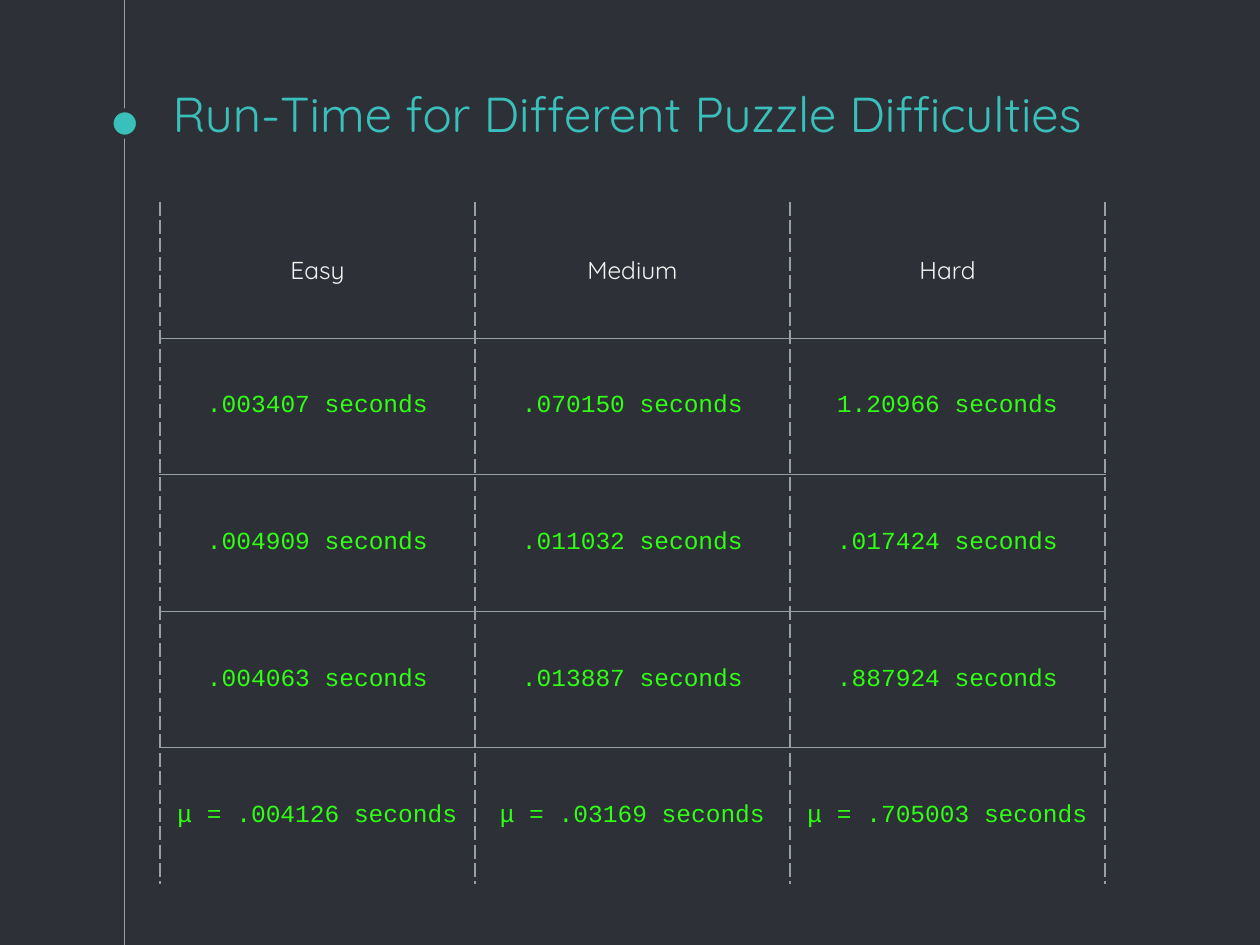
import pptx
import pptx.dml.color
import pptx.enum.dml
import pptx.enum.shapes
import pptx.enum.text
import pptx.oxml.ns
import pptx.util
from lxml import etree

TITLE = "Run-Time for Different Puzzle Difficulties"
ROWS = [
    ("Easy", "Medium", "Hard"),
    (".003407 seconds", ".070150 seconds", "1.20966 seconds"),
    (".004909 seconds", ".011032 seconds", ".017424 seconds"),
    (".004063 seconds", ".013887 seconds", ".887924 seconds"),
    ("μ = .004126 seconds", "μ = .03169 seconds", "μ = .705003 seconds"),
]
BACKGROUND, ACCENT, RULE = "2E3037", "39C0BA", "999FA9"
HEADER_COLOR, VALUE_COLOR = "F3F3F3", "2FFF12"
HEADING_FONT, VALUE_FONT = "Quicksand", "Courier New"

WIDTH, HEIGHT = 10, 7.5
CONTENT_LEFT, CONTENT_WIDTH = 1.27, 7.5
TITLE_TOP, TITLE_HEIGHT = 0.73, 0.5
TABLE_TOP, TABLE_HEIGHT = 1.6, 5.42
TIMELINE_X, DOT_Y, DOT_SIZE = 0.99, 0.98, 0.21

inches = pptx.util.Inches
qualified = pptx.oxml.ns.qn


def rgb(color):
    return pptx.dml.color.RGBColor.from_string(color)


def paint(fill, color):
    fill.solid()
    fill.fore_color.rgb = rgb(color)


def write(text_frame, text, size, font, color, alignment):
    for side in ("left", "top", "right", "bottom"):
        setattr(text_frame, f"margin_{side}", inches(0.1))
    paragraph = text_frame.paragraphs[0]
    paragraph.alignment = alignment
    run = paragraph.add_run()
    run.text = text
    run.font.size = pptx.util.Pt(size)
    run.font.name = font
    run.font.color.rgb = rgb(color)


def add_border(cell, side, dash):
    """Draw one cell side with the given dash, or leave it empty for None."""
    properties = cell._tc.get_or_add_tcPr()
    line = etree.SubElement(properties, qualified(f"a:ln{side}"), w=str(pptx.util.Pt(0.75)))
    if dash is None:
        etree.SubElement(line, qualified("a:noFill"))
        return
    fill = etree.SubElement(line, qualified("a:solidFill"))
    etree.SubElement(fill, qualified("a:srgbClr"), val=RULE)
    etree.SubElement(line, qualified("a:prstDash"), val=dash)


def add_timeline(slide):
    line = slide.shapes.add_connector(
        pptx.enum.shapes.MSO_CONNECTOR.STRAIGHT,
        inches(TIMELINE_X), 0, inches(TIMELINE_X), inches(HEIGHT))
    line.line.color.rgb = rgb(RULE)
    line.line.width = pptx.util.Pt(0.75)
    etree.SubElement(line._element.spPr, qualified("a:effectLst"))

    dot = slide.shapes.add_shape(
        pptx.enum.shapes.MSO_SHAPE.OVAL,
        inches(TIMELINE_X - DOT_SIZE / 2), inches(DOT_Y - DOT_SIZE / 2),
        inches(DOT_SIZE), inches(DOT_SIZE))
    dot.shadow.inherit = False
    paint(dot.fill, ACCENT)
    dot.line.color.rgb = rgb(BACKGROUND)
    dot.line.width = pptx.util.Pt(2.25)


def format_title(title):
    title.left, title.top = inches(CONTENT_LEFT), inches(TITLE_TOP)
    title.width, title.height = inches(CONTENT_WIDTH), inches(TITLE_HEIGHT)
    text_frame = title.text_frame
    text_frame.auto_size = pptx.enum.text.MSO_AUTO_SIZE.NONE
    text_frame.vertical_anchor = pptx.enum.text.MSO_ANCHOR.BOTTOM
    write(text_frame, TITLE, 28, HEADING_FONT, ACCENT, pptx.enum.text.PP_ALIGN.LEFT)


def add_times_table(slide):
    table = slide.shapes.add_table(
        len(ROWS), len(ROWS[0]), inches(CONTENT_LEFT), inches(TABLE_TOP),
        inches(CONTENT_WIDTH), inches(TABLE_HEIGHT)).table
    table.first_row = table.horz_banding = False
    last = len(ROWS) - 1
    for row, texts in enumerate(ROWS):
        font, color = (VALUE_FONT, VALUE_COLOR) if row else (HEADING_FONT, HEADER_COLOR)
        borders = {
            "L": "dash",
            "R": "dash",
            "T": "solid" if row > 0 else None,
            "B": "solid" if row < last else None,
        }
        for column, text in enumerate(texts):
            cell = table.cell(row, column)
            for side, dash in borders.items():
                add_border(cell, side, dash)
            cell.fill.background()
            cell.vertical_anchor = pptx.enum.text.MSO_ANCHOR.MIDDLE
            cell.margin_left = cell.margin_right = inches(0.1)
            cell.margin_top = cell.margin_bottom = inches(0.1)
            write(cell.text_frame, text, 14, font, color, pptx.enum.text.PP_ALIGN.CENTER)


def main():
    presentation = pptx.Presentation()
    presentation.slide_width, presentation.slide_height = inches(WIDTH), inches(HEIGHT)
    slide = presentation.slides.add_slide(presentation.slide_layouts.get_by_name("Title Only"))
    paint(slide.background.fill, BACKGROUND)
    add_timeline(slide)
    format_title(slide.shapes.title)
    add_times_table(slide)
    presentation.save("out.pptx")


if __name__ == "__main__":
    main()
